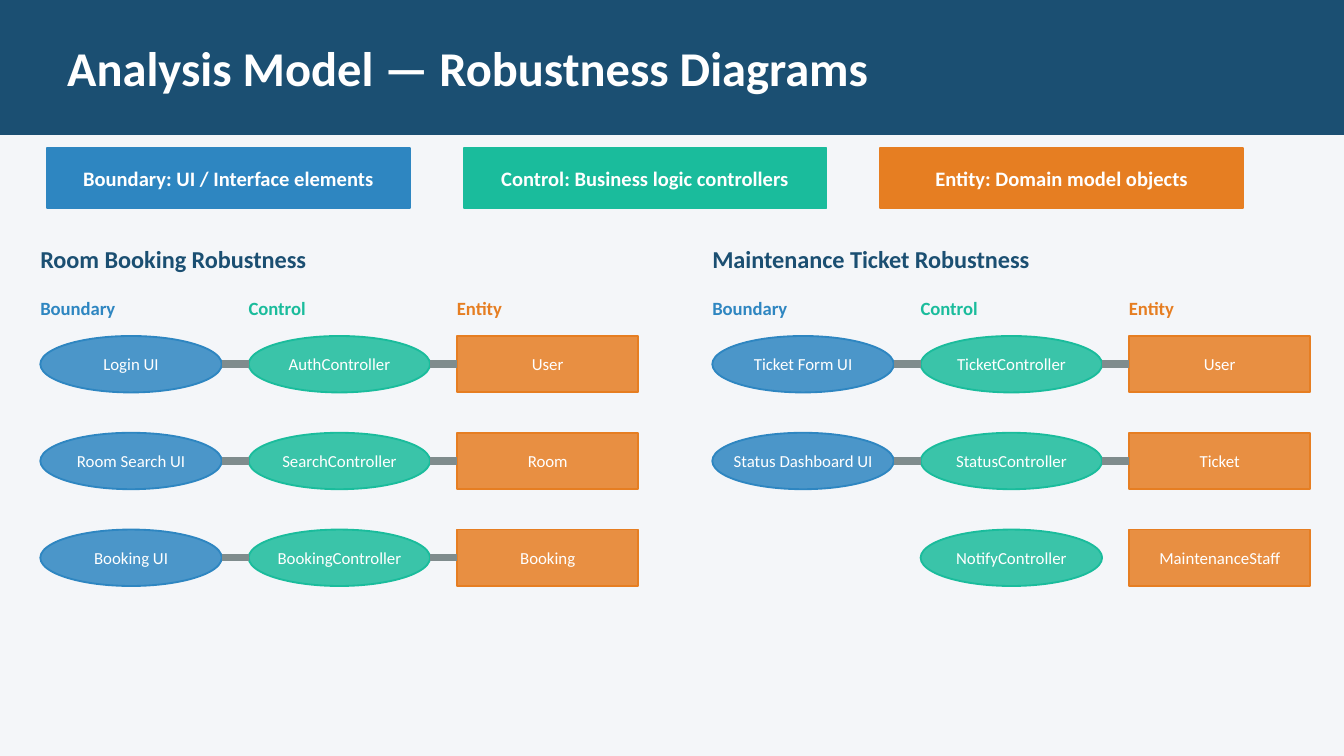
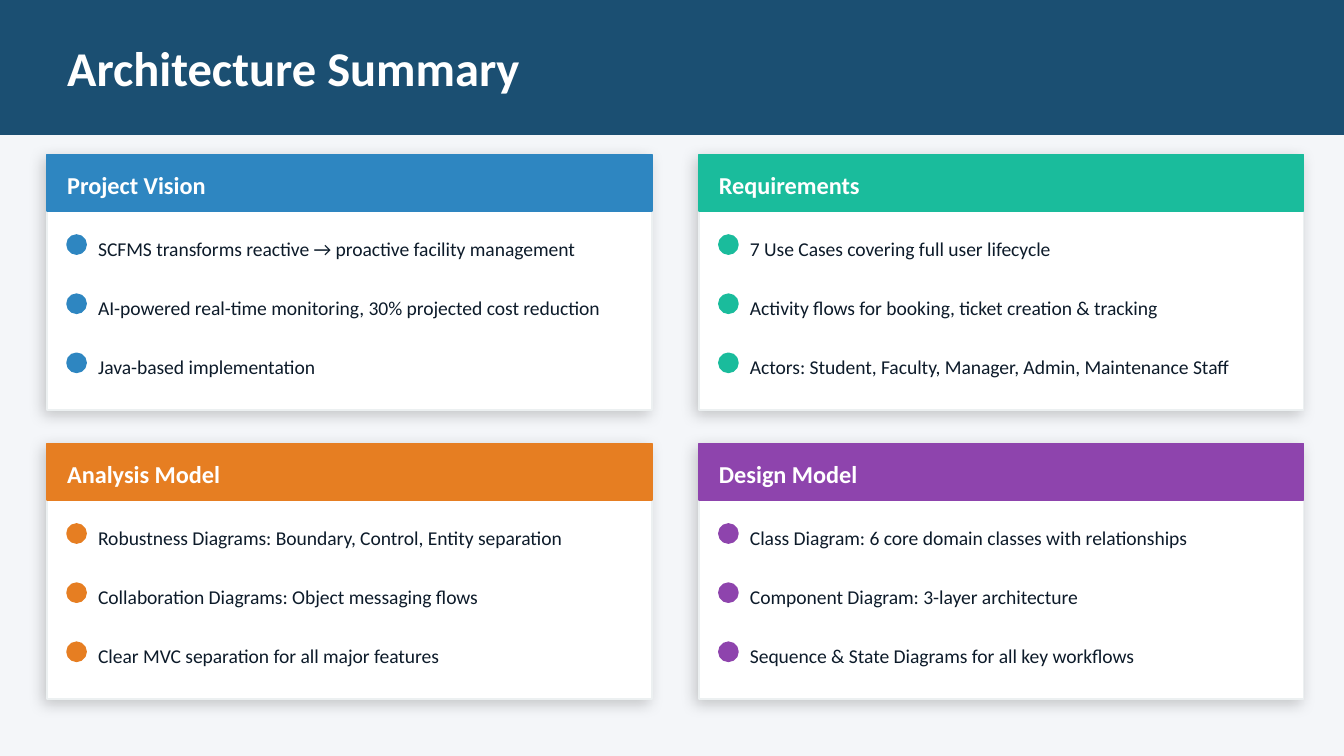
from itertools import product

from lxml.etree import SubElement
from pptx import Presentation
from pptx.dml.color import RGBColor
from pptx.enum.shapes import MSO_CONNECTOR, MSO_SHAPE
from pptx.enum.text import MSO_ANCHOR, MSO_AUTO_SIZE, PP_ALIGN
from pptx.oxml.ns import qn
from pptx.util import Pt

NAVY = RGBColor(0x1B, 0x4F, 0x72)
BLUE = RGBColor(0x2E, 0x86, 0xC1)
GREEN = RGBColor(0x1A, 0xBC, 0x9C)
ORANGE = RGBColor(0xE6, 0x7E, 0x22)
PURPLE = RGBColor(0x8E, 0x44, 0xAD)
GRAY = RGBColor(0x7F, 0x8C, 0x8D)
PALE = RGBColor(0xF4, 0xF6, 0xF9)
BORDER = RGBColor(0xEC, 0xF0, 0xF1)
INK = RGBColor(0x0D, 0x1B, 0x2A)
WHITE = RGBColor(0xFF, 0xFF, 0xFF)

WIDTH, HEIGHT = 720, 405
TITLE_ONLY, COMPARISON = 5, 4

ROLES = [
    ("Boundary", "UI / Interface elements", BLUE, MSO_SHAPE.OVAL),
    ("Control", "Business logic controllers", GREEN, MSO_SHAPE.OVAL),
    ("Entity", "Domain model objects", ORANGE, MSO_SHAPE.RECTANGLE),
]
DIAGRAMS = [
    ("Room Booking Robustness", [
        ("Login UI", "AuthController", "User"),
        ("Room Search UI", "SearchController", "Room"),
        ("Booking UI", "BookingController", "Booking"),
    ]),
    ("Maintenance Ticket Robustness", [
        ("Ticket Form UI", "TicketController", "User"),
        ("Status Dashboard UI", "StatusController", "Ticket"),
        (None, "NotifyController", "MaintenanceStaff"),
    ]),
]
CARDS = [
    ("Project Vision", BLUE, [
        "SCFMS transforms reactive → proactive facility management",
        "AI-powered real-time monitoring, 30% projected cost reduction",
        "Java-based implementation",
    ]),
    ("Requirements", GREEN, [
        "7 Use Cases covering full user lifecycle",
        "Activity flows for booking, ticket creation & tracking",
        "Actors: Student, Faculty, Manager, Admin, Maintenance Staff",
    ]),
    ("Analysis Model", ORANGE, [
        "Robustness Diagrams: Boundary, Control, Entity separation",
        "Collaboration Diagrams: Object messaging flows",
        "Clear MVC separation for all major features",
    ]),
    ("Design Model", PURPLE, [
        "Class Diagram: 6 core domain classes with relationships",
        "Component Diagram: 3-layer architecture",
        "Sequence & State Diagrams for all key workflows",
    ]),
]


class Deck:
    """Hold the shared style and the current slide."""

    font = "Calibri"

    def __init__(self):
        self.presentation = Presentation()
        self.presentation.slide_width = Pt(WIDTH)
        self.presentation.slide_height = Pt(HEIGHT)
        fill = self.presentation.slide_master.background.fill
        fill.solid()
        fill.fore_color.rgb = PALE
        self.slide = None

    def add_slide(self, title, layout):
        """Start a slide with its title band."""
        self.slide = self.presentation.slides.add_slide(
            self.presentation.slide_layouts[layout])
        self.shape(0, 0, WIDTH, 72, NAVY)
        self.placeholder(0, 36, 10.8, 648, 50.4, [title], 26, WHITE, bold=True)

    def shape(self, left, top, width, height, color,
              kind=MSO_SHAPE.RECTANGLE, border=None, opacity=100):
        """Add a filled preset shape with a thin outline."""
        shape = self.slide.shapes.add_shape(
            kind, Pt(left), Pt(top), Pt(width), Pt(height))
        shape.shadow.inherit = False
        shape.fill.solid()
        shape.fill.fore_color.rgb = color
        shape.line.color.rgb = border or color
        shape.line.width = Pt(1)
        if opacity < 100:
            value = shape.element.spPr.find(qn("a:solidFill"))[0]
            SubElement(value, qn("a:alpha"), val=str(opacity * 1000))
        return shape

    def panel(self, left, top, width, height):
        """Add a white panel with a soft shadow."""
        shape = self.shape(left, top, width, height, WHITE, border=BORDER)
        effects = shape.element.spPr.find(qn("a:effectLst"))
        shadow = SubElement(effects, qn("a:outerShdw"), blurRad=str(Pt(8)),
                            dist=str(Pt(3)), dir=str(135 * 60000),
                            algn="bl", rotWithShape="0")
        color = SubElement(shadow, qn("a:srgbClr"), val="000000")
        SubElement(color, qn("a:alpha"), val="20000")

    def set_text(self, shape, lines, size, color, bold=False,
                 align=PP_ALIGN.LEFT, gap=0, inset=(0, 0), wrap=True):
        """Fill a shape with paragraphs in the shared font."""
        frame = shape.text_frame
        frame.auto_size = MSO_AUTO_SIZE.NONE
        frame.word_wrap = wrap
        frame.vertical_anchor = MSO_ANCHOR.MIDDLE
        frame.margin_left, frame.margin_top = (Pt(side) for side in inset)
        frame.margin_right = frame.margin_bottom = 0
        for index, line in enumerate(lines):
            paragraph = frame.add_paragraph() if index else frame.paragraphs[0]
            paragraph.alignment = align
            paragraph.space_before = Pt(gap if index else 0)
            run = paragraph.add_run()
            run.text = line
            run.font.name = self.font
            run.font.size = Pt(size)
            run.font.bold = bold
            run.font.color.rgb = color

    def label(self, left, top, width, height, text, size, color):
        """Add a bold text box."""
        box = self.slide.shapes.add_textbox(
            Pt(left), Pt(top), Pt(width), Pt(height))
        self.set_text(box, [text], size, color, bold=True)

    def placeholder(self, key, left, top, width, height, lines, size, color,
                    bold=False, gap=0):
        """Place a template placeholder in front and fill it."""
        shape = self.slide.placeholders[key]
        shape.left, shape.top = Pt(left), Pt(top)
        shape.width, shape.height = Pt(width), Pt(height)
        self.set_text(shape, lines, size, color, bold, gap=gap)
        for paragraph in shape.text_frame.paragraphs:
            properties = paragraph._p.get_or_add_pPr()
            properties.set("marL", "0")
            properties.set("indent", "0")
            SubElement(properties, qn("a:buNone"))
        shape.element.getparent().append(shape.element)

    def link(self, left, right, middle):
        """Join two nodes with a thick horizontal line."""
        connector = self.slide.shapes.add_connector(
            MSO_CONNECTOR.STRAIGHT, Pt(left), Pt(middle), Pt(right), Pt(middle))
        connector.line.color.rgb = GRAY
        connector.line.width = Pt(4)
        SubElement(connector.element.spPr, qn("a:effectLst"))

    def diagram(self, left, heading, rows):
        """Draw one robustness diagram as a grid of linked nodes."""
        width, height, column_step, row_step, first = 97.2, 30.24, 111.6, 51.84, 180
        self.label(left, 126, 324, 25.2, heading, 13, NAVY)
        for column, (role, _, color, kind) in enumerate(ROLES):
            x = left + column * column_step
            self.label(x, 154.8, 93.6, 20.16, role, 10, color)
            for row, names in enumerate(rows):
                if names[column]:
                    node = self.shape(x, first + row * row_step, width, height,
                                      color, kind, opacity=85)
                    self.set_text(node, [names[column]], 9, WHITE,
                                  align=PP_ALIGN.CENTER, wrap=False)
        for row, names in enumerate(rows):
            if all(names):
                middle = first + row * row_step + height / 2
                for column in range(len(ROLES) - 1):
                    x = left + column * column_step
                    self.link(x + width, x + column_step, middle)

    def card(self, key, left, top, heading, color, lines):
        """Draw a summary card with a coloured header and a dotted list."""
        pitch = 31.68
        self.panel(left, top, 324, 136.8)
        header = self.shape(left, top, 324, 30.24, color)
        self.set_text(header, [heading], 13, WHITE, bold=True, inset=(10.8, 2.2))
        for row in range(len(lines)):
            self.shape(left + 10.8, top + 43.2 + row * pitch, 10.08, 10.08,
                       color, MSO_SHAPE.OVAL)
        self.placeholder(key, left + 27.36, top + 36, 284.4, 92.16, lines,
                         10.5, INK, gap=18.86)


def main():
    """Build both slides and save them."""
    deck = Deck()
    deck.add_slide("Analysis Model — Robustness Diagrams", TITLE_ONLY)
    for index, (role, meaning, color, _) in enumerate(ROLES):
        legend = deck.shape(25.2 + index * 223.2, 79.2, 194.4, 32.4, color)
        deck.set_text(legend, [f"{role}: {meaning}"], 11, WHITE, bold=True,
                      align=PP_ALIGN.CENTER)
    for index, (heading, rows) in enumerate(DIAGRAMS):
        deck.diagram(21.6 + index * 360, heading, rows)

    deck.add_slide("Architecture Summary", COMPARISON)
    places = product((82.8, 237.6), (25.2, 374.4))
    for key, ((top, left), card) in enumerate(zip(places, CARDS), start=1):
        deck.card(key, left, top, *card)
    deck.presentation.save("out.pptx")


if __name__ == "__main__":
    main()
